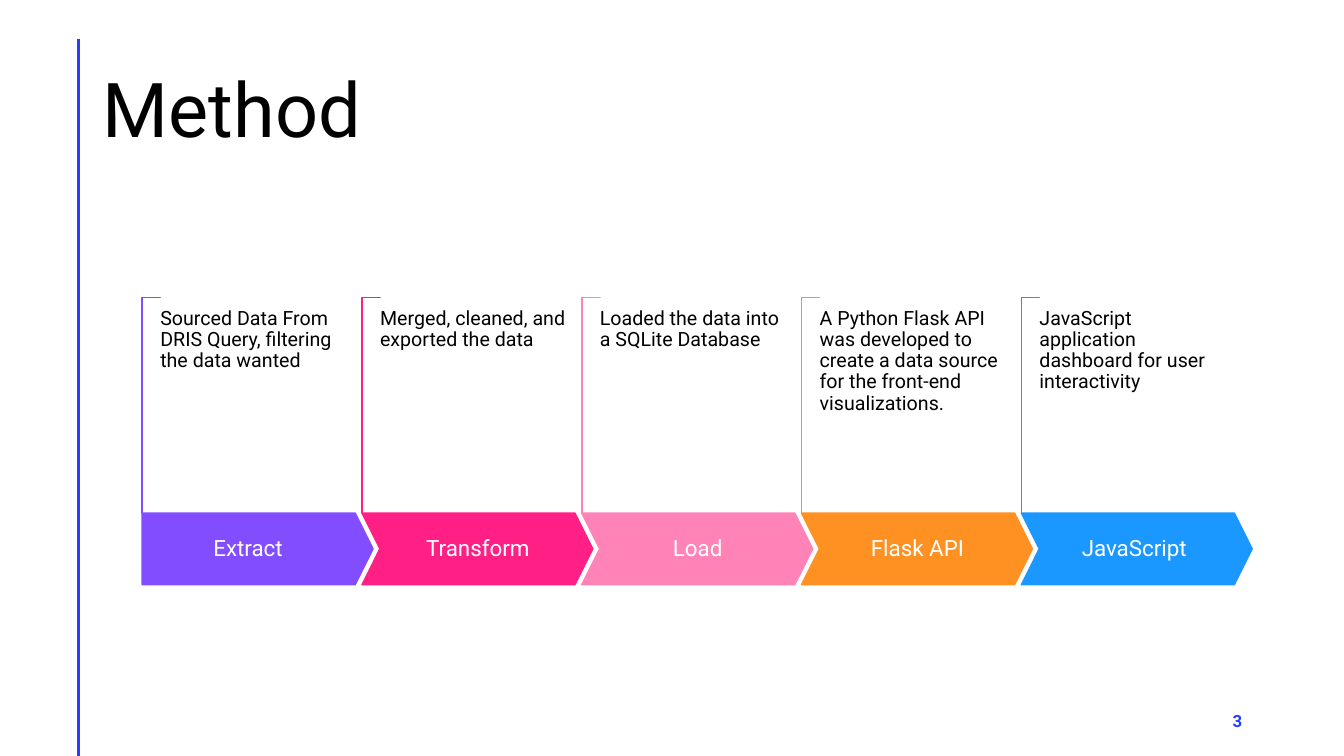
"""Build the Method slide: five process steps, each with a chevron and a note."""
from lxml.etree import SubElement
from pptx import Presentation
from pptx.dml.color import RGBColor
from pptx.enum.shapes import MSO_CONNECTOR, MSO_SHAPE
from pptx.enum.text import MSO_ANCHOR, PP_ALIGN
from pptx.oxml.ns import qn
from pptx.util import Inches, Pt

COLORS = {
    "violet": "814DFF", "magenta": "FF1F85", "pink": "FF83B6", "orange": "FF9022",
    "sky": "1A98FF", "blue": "243FFF", "black": "000000", "white": "FFFFFF",
}
FONT = "Roboto"
TITLE = "Method"
PAGE_NUMBER = "3"
# name, colour, outline, centre of the name from the step's left edge, note
STEPS = [
    ("Extract", "violet", MSO_SHAPE.PENTAGON, 1.05,
     "Sourced Data From DRIS Query, filtering the data wanted"),
    ("Transform", "magenta", MSO_SHAPE.CHEVRON, 1.15,
     "Merged, cleaned, and exported the data"),
    ("Load", "pink", MSO_SHAPE.CHEVRON, 1.15,
     "Loaded the data into a SQLite Database"),
    ("Flask API", "orange", MSO_SHAPE.CHEVRON, 1.15,
     "A Python Flask API was developed to create a data source "
     "for the front-end visualizations."),
    ("JavaScript", "sky", MSO_SHAPE.CHEVRON, 1.12,
     "JavaScript application dashboard for user interactivity"),
]

WIDTH, HEIGHT = 13.33, 7.5
FIRST_LEFT, STEP_PITCH = 1.41, 2.18
ARROW_TOP, ARROW_WIDTH, ARROW_HEIGHT = 5.09, 2.29, 0.71
BRACKET_HEIGHT, BRACKET_DEPTH = 2.14, 0.18
NAME_WIDTH = 1.94
NOTE_TOP, NOTE_WIDTH, NOTE_HEIGHT = 3.06, 1.86, 1.5


def color(name):
    return RGBColor.from_string(COLORS[name])


def add_text(page, text, left, top, width, height, *, size, ink="black", bold=False,
             align=PP_ALIGN.LEFT, anchor=MSO_ANCHOR.MIDDLE, insets=(0.1, 0.05),
             line_spacing=0.9, tracking=None):
    box = page.shapes.add_textbox(*map(Inches, (left, top, width, height)))
    frame = box.text_frame
    frame.word_wrap = True
    frame.vertical_anchor = anchor
    frame.margin_left = frame.margin_right = Inches(insets[0])
    frame.margin_top = frame.margin_bottom = Inches(insets[1])
    para = frame.paragraphs[0]
    para.alignment = align
    para.line_spacing = line_spacing
    span = para.add_run()
    span.text = text
    span.font.name = FONT
    span.font.size = Pt(size)
    span.font.bold = bold
    span.font.color.rgb = color(ink)
    if tracking:
        span.font._element.set("spc", str(tracking * 100))


def add_shape(page, outline, left, top, width, height, fill, line, adjustments):
    shape = page.shapes.add_shape(outline, *map(Inches, (left, top, width, height)))
    shape.shadow.inherit = False
    shape.fill.solid()
    shape.fill.fore_color.rgb = color(fill)
    shape.line.color.rgb = color(line)
    shape.line.width = Pt(1)
    for index, value in enumerate(adjustments):
        shape.adjustments[index] = value
    return shape


def add_step(page, left, name, hue, outline, name_center, note):
    bracket = add_shape(
        page, MSO_SHAPE.CORNER,
        left + (BRACKET_DEPTH - BRACKET_HEIGHT) / 2,
        ARROW_TOP - (BRACKET_HEIGHT + BRACKET_DEPTH) / 2,
        BRACKET_HEIGHT, BRACKET_DEPTH, "white", hue, (0.01, 0.01))
    bracket.rotation = 90
    add_shape(page, outline, left, ARROW_TOP, ARROW_WIDTH, ARROW_HEIGHT, hue, hue, (0.25,))
    add_text(page, name, left + name_center - NAME_WIDTH / 2, ARROW_TOP, NAME_WIDTH,
             ARROW_HEIGHT, size=16, ink="white", align=PP_ALIGN.CENTER, insets=(0.11, 0.22))
    add_text(page, note, left + BRACKET_DEPTH, NOTE_TOP, NOTE_WIDTH, NOTE_HEIGHT,
             size=14, anchor=MSO_ANCHOR.TOP, insets=(0, 0))


def main():
    deck = Presentation()
    deck.slide_width, deck.slide_height = Inches(WIDTH), Inches(HEIGHT)
    page = deck.slides.add_slide(deck.slide_layouts[6])

    rule = page.shapes.add_connector(
        MSO_CONNECTOR.STRAIGHT, *map(Inches, (0.78, 0.39, 0.78, HEIGHT)))
    rule.line.color.rgb = color("blue")
    rule.line.width = Pt(2)
    SubElement(rule._element.spPr, qn("a:effectLst"))

    add_text(page, TITLE, 0.92, 0.4, 11.5, 1.45, size=54)
    for index, step in enumerate(STEPS):
        add_step(page, FIRST_LEFT + index * STEP_PITCH, *step)
    add_text(page, PAGE_NUMBER, 9.42, 6.95, 3, 0.4, size=12, ink="blue", bold=True,
             align=PP_ALIGN.RIGHT, line_spacing=1.0, tracking=1)
    deck.save("out.pptx")


if __name__ == "__main__":
    main()
